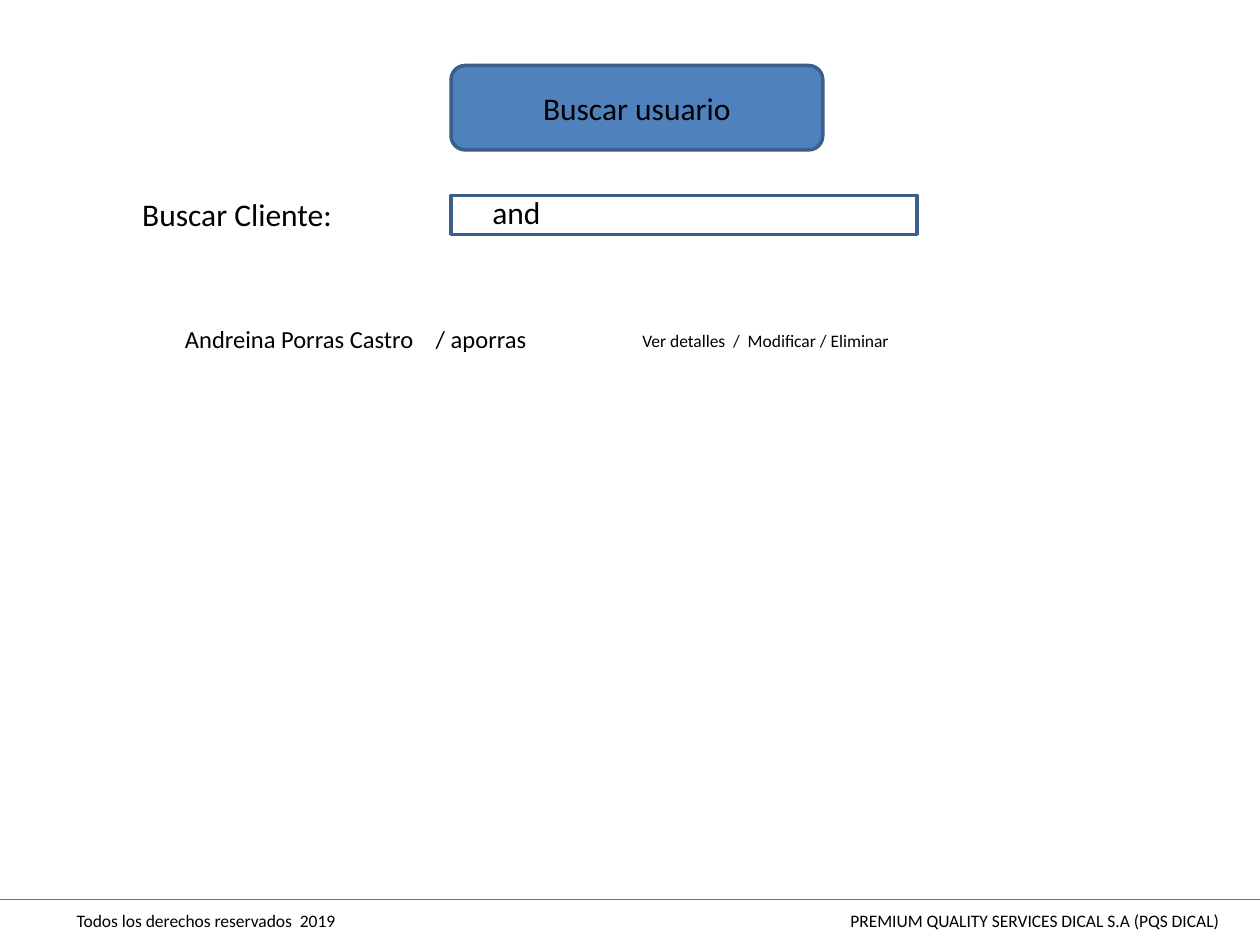
from lxml import etree
from pptx import Presentation
from pptx.dml.color import RGBColor
from pptx.enum.shapes import MSO_CONNECTOR as CONN, MSO_SHAPE as SHAPE
from pptx.enum.text import MSO_ANCHOR as ANCHOR, MSO_AUTO_SIZE as AUTO, PP_ALIGN as ALIGN
from pptx.oxml.ns import qn
from pptx.util import Inches, Pt

BLACK = RGBColor(0x00, 0x00, 0x00)
BLUE = RGBColor(0x4F, 0x81, 0xBD)
BORDER = RGBColor(0x3A, 0x5F, 0x8C)
RULE = RGBColor(0x4B, 0x7E, 0xBC)
FONT = "Calibri"


def write(sp, text, size, tab=None):
    """Set and format one left-aligned paragraph, with an optional tab stop."""
    tf = sp.text_frame
    tf.word_wrap = True
    tf.auto_size = AUTO.SHAPE_TO_FIT_TEXT
    tf.vertical_anchor = ANCHOR.TOP
    tf.text = text
    p = tf.paragraphs[0]
    p.alignment = ALIGN.LEFT
    if tab:
        tabs = etree.SubElement(p._p.get_or_add_pPr(), qn("a:tabLst"))
        etree.SubElement(tabs, qn("a:tab"), pos=str(Inches(tab)), algn="l")
    for r in p.runs:
        r.font.name = FONT
        r.font.size = Pt(size)
        r.font.color.rgb = BLACK


def add_text(s, x, y, w, h, text, size, tab=None):
    """Add a wrapped text box."""
    sp = s.shapes.add_textbox(Inches(x), Inches(y), Inches(w), Inches(h))
    write(sp, text, size, tab)


def add_frame(s, kind, x, y, w, h, fill=None):
    """Add a bordered shape, hollow unless a fill is given."""
    sp = s.shapes.add_shape(kind, Inches(x), Inches(y), Inches(w), Inches(h))
    sp.shadow.inherit = False
    if fill is None:
        sp.fill.background()
    else:
        sp.fill.solid()
        sp.fill.fore_color.rgb = fill
    sp.line.color.rgb = BORDER
    sp.line.width = Pt(2)
    return sp


def add_footer(s, x, y, w):
    """Add the rule across the slide with the rights and company lines."""
    rule = s.shapes.add_connector(CONN.STRAIGHT, Inches(x), Inches(y), Inches(x + w), Inches(y))
    rule.line.color.rgb = RULE
    rule.line.width = Pt(0.75)
    etree.SubElement(rule._element.spPr, qn("a:effectLst"))
    add_text(s, x + 0.51, y + 0.03, 2.99, 0.27, "Todos los derechos reservados  2019", 10)
    add_text(s, x + w - 3.35, y + 0.03, 3.21, 0.27,
             "PREMIUM QUALITY SERVICES DICAL S.A (PQS DICAL)", 10)


def add_heading(s, x, y, w, h):
    """Add the rounded panel with the slide title over it."""
    panel = add_frame(s, SHAPE.ROUNDED_RECTANGLE, x, y, w, h, BLUE)
    title = s.shapes.title
    title.left, title.top = Inches(x + 0.63), Inches(y + 0.14)
    title.width, title.height = Inches(1.93), Inches(0.4)
    write(title, "Buscar usuario", 18)
    panel.element.addnext(title.element)


def add_search(s, x, y, field_x, field_w):
    """Add the search label and its filled-in field."""
    add_text(s, x, y, 2.48, 0.4, "Buscar Cliente:", 18)
    add_frame(s, SHAPE.RECTANGLE, field_x, y + 0.05, field_w, 0.31)
    add_text(s, field_x + 0.23, y - 0.02, 2.86, 0.4, "and", 18)


def add_result(s, x, y, actions_x):
    """Add one found user with its actions."""
    add_text(s, x, y, 3.87, 0.34, "Andreina Porras Castro\t/ aporras", 14, tab=1.99)
    add_text(s, actions_x, y + 0.05, 3.79, 0.27, "Ver detalles  /  Modificar / Eliminar", 10)


def main():
    """Build and save the user search slide."""
    prs = Presentation()
    prs.slide_width, prs.slide_height = Inches(10), Inches(7.5)
    s = prs.slides.add_slide(prs.slide_layouts[5])
    add_footer(s, 0, 7.14, 10)
    add_heading(s, 3.58, 0.52, 2.95, 0.67)
    add_search(s, 1.03, 1.5, 3.58, 3.7)
    add_result(s, 1.37, 2.52, 5)
    prs.save("out.pptx")


if __name__ == "__main__":
    main()
